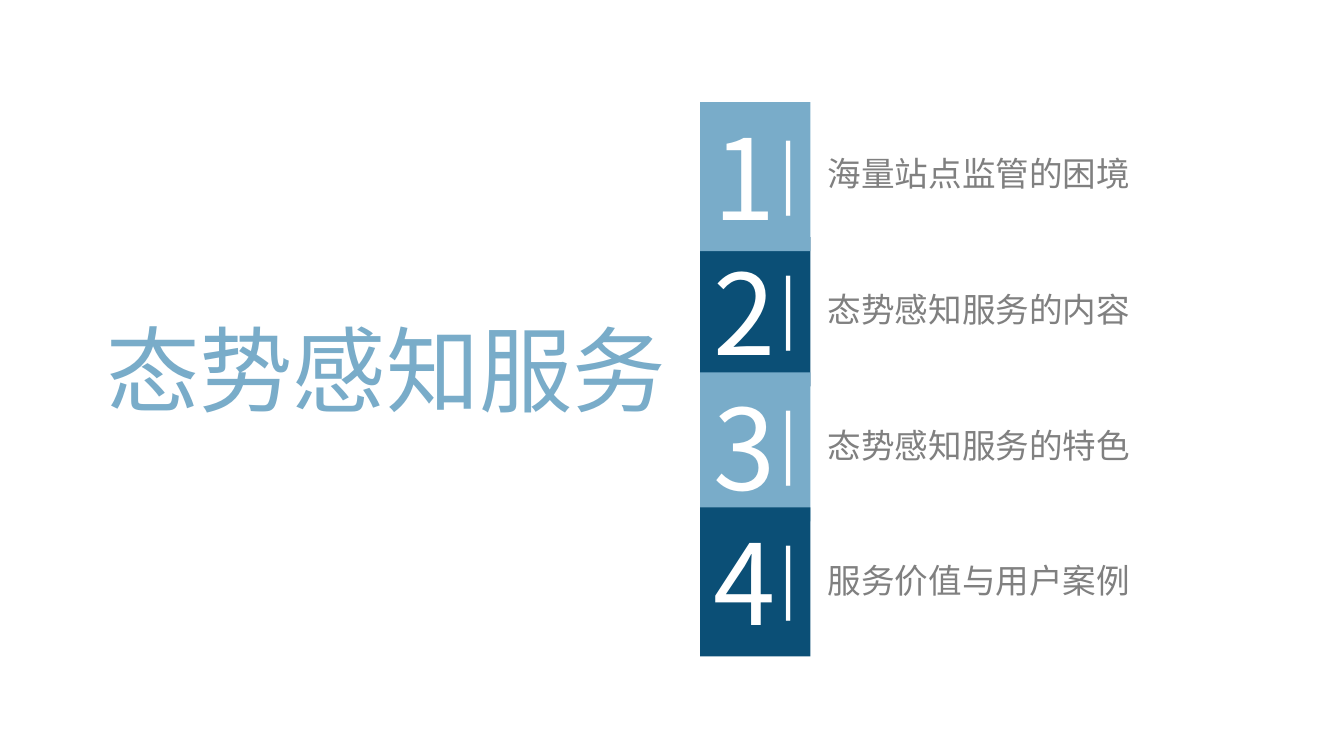
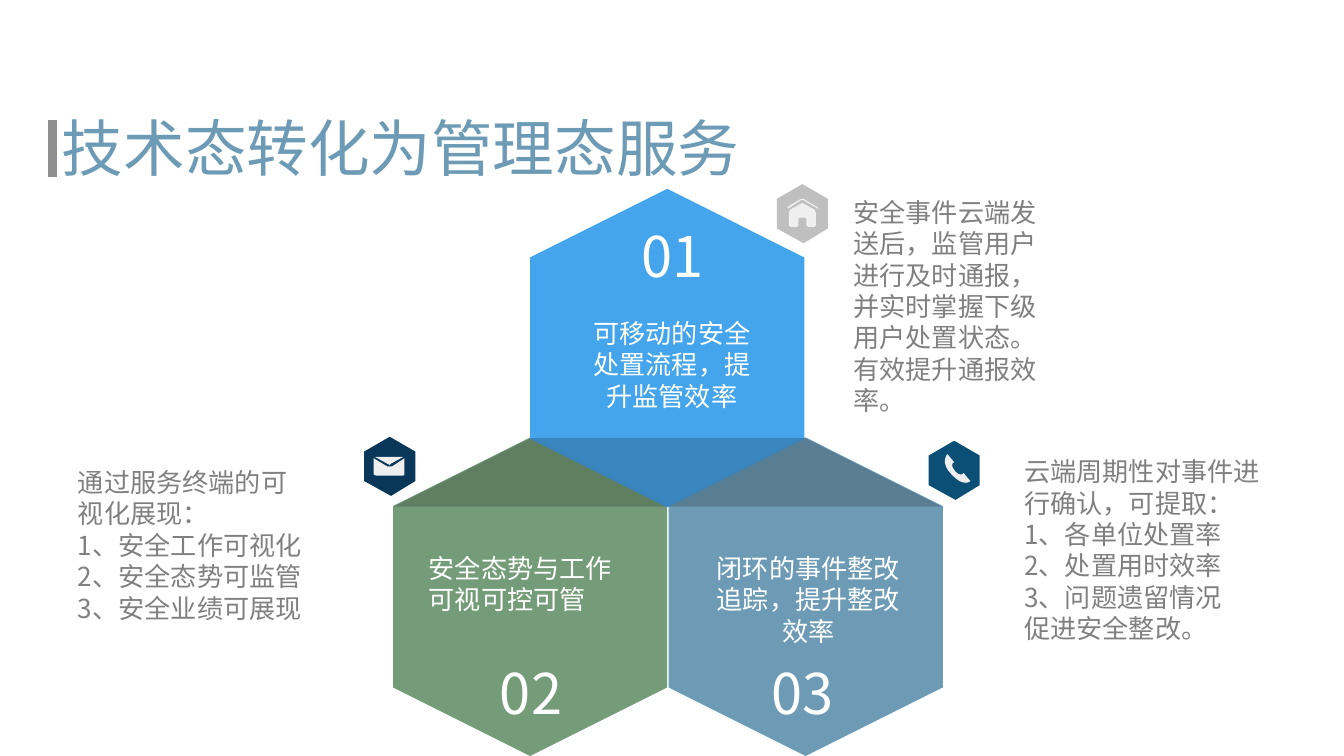
import pptx
import pptx.dml.color
import pptx.enum.shapes
import pptx.enum.text
import pptx.oxml.ns
import pptx.util
from lxml import etree

Inches = pptx.util.Inches
ALIGN = pptx.enum.text.PP_ALIGN
SHAPES = pptx.enum.shapes.MSO_SHAPE

# Shared look
FONT = "Noto Sans CJK SC"
LATIN_FONT = "Open Sans"
WHITE, GRAY, ICON = "FFFFFF", "808080", "F0EFEF"
LIGHT, DARK, STEEL = "79ACC9", "0B4F76", "6D9BB6"
WIDE_INSETS, INSETS = (0.1, 0.05), (0.07, 0.04)


def color(value):
    return pptx.dml.color.RGBColor.from_string(value)


def add_xml(parent, tag, **attributes):
    return etree.SubElement(parent, pptx.oxml.ns.qn(tag), **attributes)


def write(shape, text, size, fill, font=FONT, align=ALIGN.LEFT, insets=INSETS,
          wrap=True, spacing=None, indent=None):
    """Fill a shape with formatted text, one paragraph per line."""
    frame = shape.text_frame
    frame.text = text
    frame.word_wrap = wrap
    frame.auto_size = pptx.enum.text.MSO_AUTO_SIZE.NONE
    frame.vertical_anchor = pptx.enum.text.MSO_ANCHOR.TOP
    frame.margin_left = frame.margin_right = Inches(insets[0])
    frame.margin_top = frame.margin_bottom = Inches(insets[1])
    for paragraph in frame.paragraphs:
        paragraph.alignment = align
        paragraph.space_before = pptx.util.Pt(0)
        if spacing:
            paragraph.line_spacing = pptx.util.Pt(spacing)
        if indent:
            paragraph.level = 1
            properties = paragraph._p.get_or_add_pPr()
            properties.set("marL", str(Inches(indent)))
            properties.set("indent", "0")
        for run in paragraph.runs:
            run.font.size = pptx.util.Pt(size)
            run.font.name = font
            run.font.color.rgb = color(fill)
            add_xml(run._r.get_or_add_rPr(), "a:ea", typeface=font)


def add_text(slide, box, text, size, fill, **options):
    shape = slide.shapes.add_textbox(*map(Inches, box))
    write(shape, text, size, fill, **options)


def add_title(slide, box, text, size, fill, **options):
    title = slide.shapes.title
    title.left, title.top, title.width, title.height = map(Inches, box)
    write(title, text, size, fill, wrap=False, **options)


def paint(shape, fill, alpha=None):
    shape.shadow.inherit = False
    shape.fill.solid()
    shape.fill.fore_color.rgb = color(fill)
    shape.line.fill.background()
    if alpha:
        rgb = shape._element.spPr.find(".//" + pptx.oxml.ns.qn("a:srgbClr"))
        add_xml(rgb, "a:alpha", val=str(alpha * 1000))


def add_block(slide, kind, box, fill, rotation=0):
    shape = slide.shapes.add_shape(kind, *map(Inches, box))
    shape.rotation = rotation
    paint(shape, fill)
    return shape


def add_polygon(slide, points, fill, alpha=None):
    points = [(Inches(x), Inches(y)) for x, y in points]
    builder = slide.shapes.build_freeform(*points[0])
    builder.add_line_segments(points[1:], close=True)
    paint(builder.convert_to_shape(), fill, alpha)


def add_line(slide, start, end, fill, width):
    line = slide.shapes.add_connector(
        pptx.enum.shapes.MSO_CONNECTOR.STRAIGHT, *map(Inches, start + end))
    line.line.color.rgb = color(fill)
    line.line.width = pptx.util.Pt(width)
    add_xml(line._element.spPr, "a:effectLst")


def curve(*controls, steps=8):
    """Points along a cubic Bezier curve."""
    points = []
    for step in range(steps + 1):
        t = step / steps
        weights = ((1 - t) ** 3, 3 * t * (1 - t) ** 2, 3 * t * t * (1 - t), t ** 3)
        points.append(tuple(sum(w * c[axis] for w, c in zip(weights, controls))
                            for axis in (0, 1)))
    return points


# Icons
def add_badge(slide, left, top, fill):
    outline = [(0, .11), (.19, 0), (.38, .11), (.38, .33), (.2, .44), (0, .33)]
    add_polygon(slide, [(left + x, top + y) for x, y in outline], fill)


def add_house(slide):
    add_badge(slide, 5.78, 1.37, "BFBFBF")
    add_polygon(slide, [
        (5.97, 1.51), (5.88, 1.56), (5.87, 1.58), (5.87, 1.68), (5.89, 1.69),
        (5.93, 1.69), (5.94, 1.68), (5.94, 1.63), (5.95, 1.62), (5.99, 1.62),
        (6, 1.63), (6, 1.68), (6.02, 1.69), (6.06, 1.69), (6.07, 1.68),
        (6.07, 1.58), (6.06, 1.56)], ICON)
    add_polygon(slide, [
        (6.09, 1.55), (6.08, 1.55), (5.98, 1.49), (5.96, 1.49), (5.87, 1.55),
        (5.86, 1.55), (5.86, 1.54), (5.96, 1.48), (5.98, 1.48), (6.08, 1.54)], ICON)


def add_envelope(slide):
    add_badge(slide, 2.71, 3.25, "093759")
    add_polygon(slide, [(2.91, 3.45), (3, 3.4), (2.79, 3.4), (2.88, 3.45),
                        (2.9, 3.46)], ICON)
    add_polygon(slide, [
        (2.92, 3.47), (2.88, 3.47), (2.78, 3.41), (2.78, 3.53), (2.8, 3.54),
        (3, 3.54), (3.01, 3.53), (3.01, 3.41)], ICON)


def add_phone(slide):
    add_badge(slide, 6.91, 3.28, DARK)
    add_polygon(slide,
                curve((7.17, 3.52), (7.17, 3.52), (7.15, 3.55), (7.11, 3.51))
                + curve((7.11, 3.51), (7.06, 3.45), (7.1, 3.44), (7.1, 3.44))
                + curve((7.05, 3.38), (7.05, 3.38), (6.99, 3.44), (7.08, 3.53))
                + curve((7.08, 3.53), (7.17, 3.63), (7.22, 3.58), (7.22, 3.58)), ICON)


# Slides
def build_agenda(slide):
    topics = [("海量站点监管的困境", FONT), ("态势感知服务的内容", LATIN_FONT),
              ("态势感知服务的特色", LATIN_FONT), ("服务价值与用户案例", LATIN_FONT)]
    pitch = 1.005
    for row in (1, 2, 3, 0):  # the first block overlaps the second
        block = add_block(slide, SHAPES.RECTANGLE, (5.21, 0.76 + pitch * row, 0.82, 1.11),
                          DARK if row % 2 else LIGHT)
        write(block, str(row + 1), 60, WHITE, insets=WIDE_INSETS)
    for row, (topic, font) in enumerate(topics):
        add_text(slide, (6.06, 1.15 + 1.01 * row, 3.43, 0.35), topic, 18, GRAY,
                 font=font, insets=WIDE_INSETS, spacing=17.2)
        add_text(slide, (5.32, 0.92 + pitch * row, 0.74, 0.71), "|", 36, WHITE,
                 insets=WIDE_INSETS, indent=0.38)
    add_title(slide, (0.67, 2.27, 4.41, 0.94), "态势感知服务", 50, LIGHT,
              align=ALIGN.CENTER, insets=WIDE_INSETS)


def build_services(slide):
    add_title(slide, (0.39, 0.78, 5.24, 0.63), "技术态转化为管理态服务", 33, STEEL)
    add_line(slide, (0.39, 0.89), (0.39, 1.32), "8F8F8F", 4.5)

    # Three upright hexagons with shaded triangles where they meet
    for left, top, fill in ((4.81, 3.42, STEEL), (2.76, 3.42, "759C78"),
                            (3.78, 1.57, "44A5EC")):
        add_block(slide, SHAPES.HEXAGON, (left, top, 2.37, 2.04), fill, rotation=270)
    for middle, tip, base in ((5.99, 3.26, 3.77), (3.95, 3.26, 3.77), (4.97, 3.77, 3.26)):
        add_polygon(slide, [(middle, tip), (middle + 1.02, base), (middle - 1.02, base)],
                    "0D0D0D", alpha=20)

    add_house(slide)
    add_envelope(slide)
    add_phone(slide)

    # Numbers and captions inside the hexagons
    for number, left, top in (("01", 4.7, 1.61), ("02", 3.65, 4.86), ("03", 5.67, 4.86)):
        add_text(slide, (left, top, 0.62, 0.58), number, 30, WHITE, wrap=False)
    captions = [
        ((4.31, 2.32, 1.38, 0.78), "可移动的安全处置流程，提升监管效率", ALIGN.CENTER),
        ((3.12, 4.07, 1.65, 0.55), "安全态势与工作\n可视可控可管", ALIGN.LEFT),
        ((5.19, 4.07, 1.65, 0.78), "闭环的事件整改\n追踪，提升整改效率", ALIGN.CENTER)]
    for box, text, align in captions:
        add_text(slide, box, text, 14, WHITE, align=align)

    # Explanations beside the icons
    notes = [
        ((6.28, 1.42, 1.69, 1.73),
         "安全事件云端发送后，监管用户进行及时通报，并实时掌握下级用户处置状态。有效提升通报效率。"),
        ((7.55, 3.35, 1.95, 1.49),
         "云端周期性对事件进行确认，可提取：\n1、各单位处置率\n2、处置用时效率\n"
         "3、问题遗留情况\n促进安全整改。"),
        ((0.51, 3.43, 1.89, 1.25),
         "通过服务终端的可视化展现：\n1、安全工作可视化\n2、安全态势可监管\n3、安全业绩可展现")]
    for box, text in notes:
        add_text(slide, box, text, 14, GRAY)


def main():
    presentation = pptx.Presentation()
    presentation.slide_width = Inches(10)
    presentation.slide_height = Inches(10) * 9 // 16
    title_only = presentation.slide_layouts[5]
    for build in (build_agenda, build_services):
        build(presentation.slides.add_slide(title_only))
    presentation.save("out.pptx")


if __name__ == "__main__":
    main()
